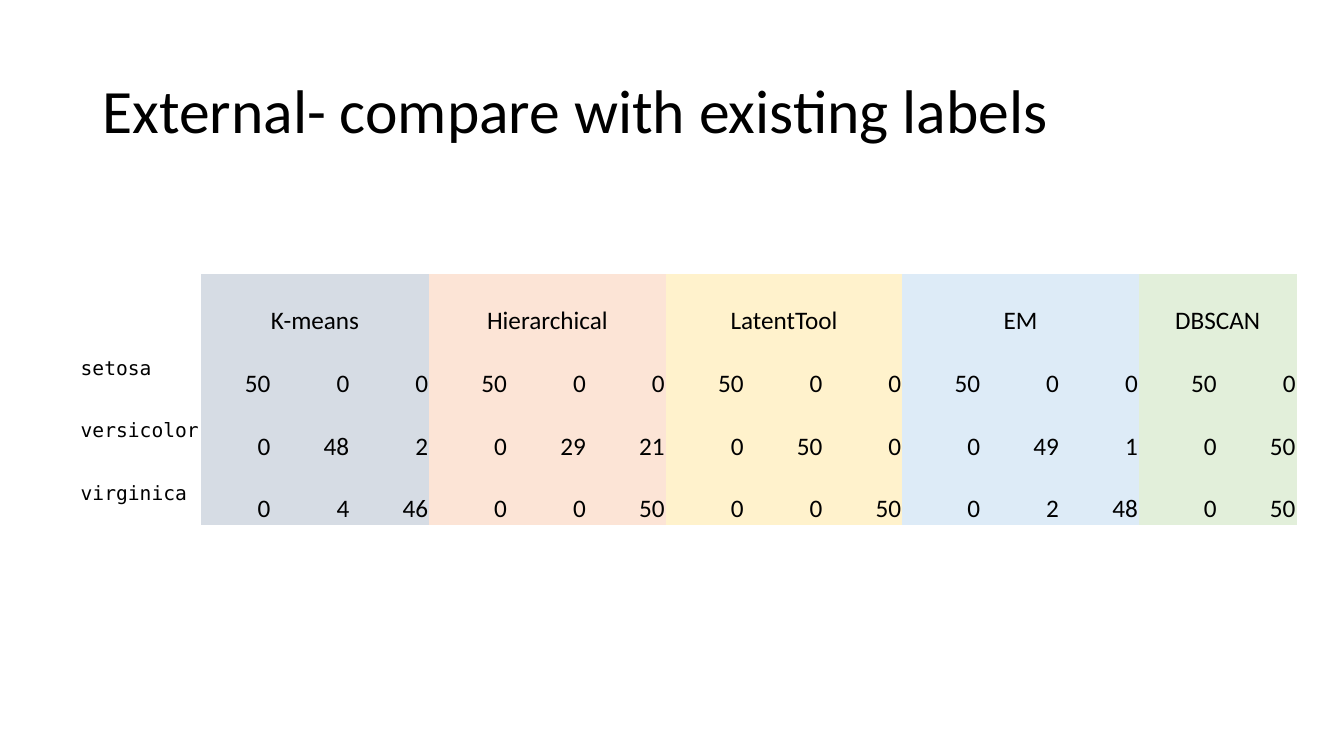
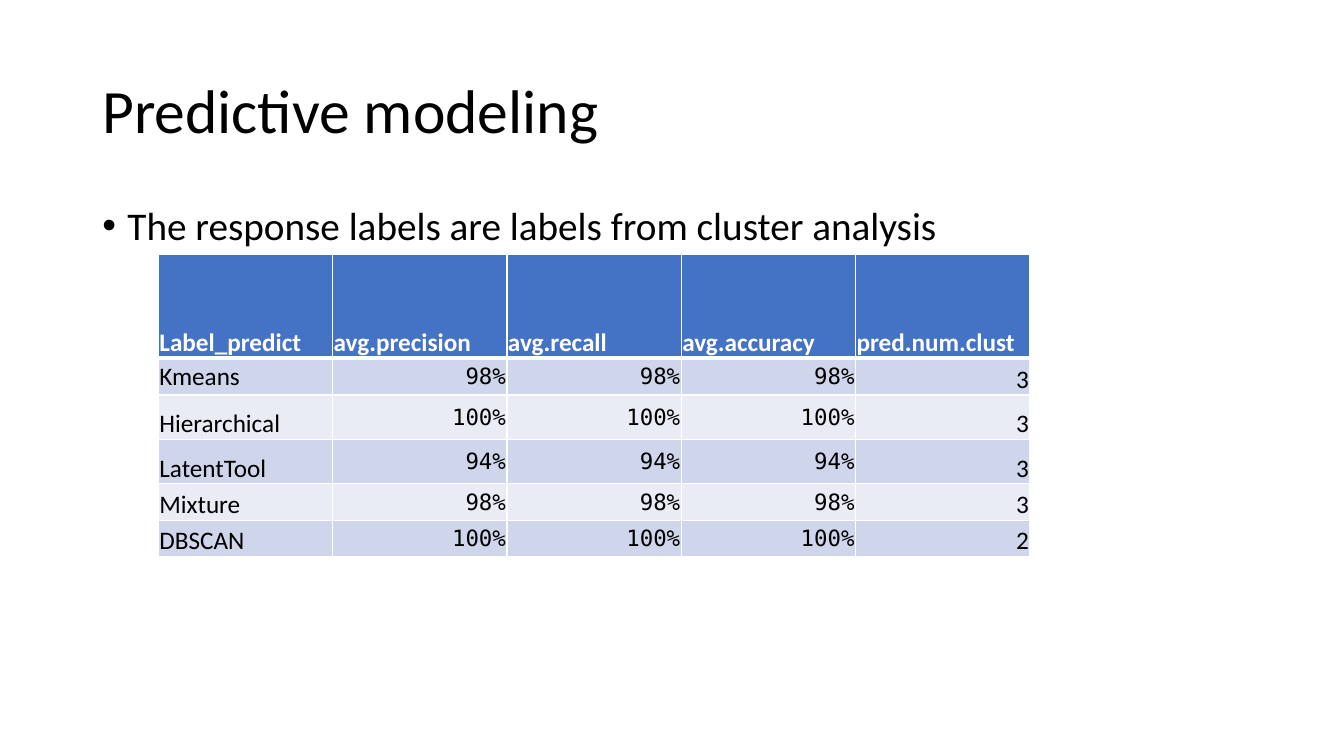
from lxml.etree import SubElement
from pptx import Presentation
from pptx.dml.color import RGBColor
from pptx.enum.text import MSO_ANCHOR, PP_ALIGN
from pptx.oxml.ns import qn
from pptx.util import Pt

SANS, MONO = "Calibri", "DejaVu Sans Mono"
BLACK, WHITE, BLUE = "000000", "FFFFFF", "4472C4"
BANDS = ["CFD5EA", "E9EBF5"]

SPECIES = ["setosa", "versicolor", "virginica"]
METHODS = [
    ("K-means", "D6DCE4", [(50, 0, 0), (0, 48, 2), (0, 4, 46)]),
    ("Hierarchical", "FCE4D6", [(50, 0, 0), (0, 29, 21), (0, 0, 50)]),
    ("LatentTool", "FFF2CC", [(50, 0, 0), (0, 50, 0), (0, 0, 50)]),
    ("EM", "DDEBF7", [(50, 0, 0), (0, 49, 1), (0, 2, 48)]),
    ("DBSCAN", "E2EFDA", [(50, 0), (0, 50), (0, 50)]),
]
LABEL_W, FIRST_W, COUNT_W, COUNT_H = 86.6, 50.4, 56.35, 44.8

BULLET = "The response labels are labels from cluster analysis"
MEASURES = ["Label_predict", "avg.precision", "avg.recall", "avg.accuracy", "pred.num.clust"]
SCORES = [
    ("Kmeans", "98%", "98%", "98%", "3"),
    ("Hierarchical", "100%", "100%", "100%", "3"),
    ("LatentTool", "94%", "94%", "94%", "3"),
    ("Mixture", "98%", "98%", "98%", "3"),
    ("DBSCAN", "100%", "100%", "100%", "2"),
]
SCORE_W, SCORE_H = 124.5, [74.2, 26.2, 31.8, 31.8, 25.9, 25.9]


def rgb(color):
    return RGBColor.from_string(color)


def write(tf, text, size=18, font=SANS, color=BLACK, bold=False, align=PP_ALIGN.LEFT, spacing=None):
    p = tf.paragraphs[0]
    p.alignment = align
    if spacing:
        p.line_spacing = spacing
    r = p.add_run()
    r.text = text
    r.font.size, r.font.name, r.font.bold = Pt(size), font, bold
    r.font.color.rgb = rgb(color)
    return p


def add_text(s, text, top, height, anchor, **fmt):
    tf = s.shapes.add_textbox(Pt(66), Pt(top), Pt(828), Pt(height)).text_frame
    tf.word_wrap = True
    tf.vertical_anchor = anchor
    return write(tf, text, spacing=0.9, **fmt)


def add_slide(prs, title):
    s = prs.slides.add_slide(prs.slide_layouts[6])
    add_text(s, title, 28.75, 104.4, MSO_ANCHOR.MIDDLE, size=44)
    return s


def set_borders(cell, widths):
    tcPr = cell._tc.get_or_add_tcPr()
    for side, width in zip("LRTB", widths):
        ln = SubElement(tcPr, qn(f"a:ln{side}"), w=str(Pt(width)))
        if width:
            fill = SubElement(ln, qn("a:solidFill"))
            SubElement(fill, qn("a:srgbClr"), val=WHITE)
        else:
            SubElement(ln, qn("a:noFill"))


def add_table(s, left, top, widths, heights):
    table = s.shapes.add_table(len(heights), len(widths), Pt(left), Pt(top),
                               Pt(sum(widths)), Pt(sum(heights))).table
    table.first_row = table.horz_banding = False
    for col, width in zip(table.columns, widths):
        col.width = Pt(width)
    for row, height in zip(table.rows, heights):
        row.height = Pt(height)
    return table


def fill_cell(cell, text="", fill=None, borders=(0, 0, 0, 0), anchor=MSO_ANCHOR.BOTTOM, **fmt):
    set_borders(cell, borders)
    if fill:
        cell.fill.solid()
        cell.fill.fore_color.rgb = rgb(fill)
    else:
        cell.fill.background()
    cell.margin_left = cell.margin_right = cell.margin_top = Pt(0.75)
    cell.margin_bottom = 0
    cell.vertical_anchor = anchor
    if text:
        write(cell.text_frame, text, **fmt)


def build_labels(prs):
    s = add_slide(prs, "External- compare with existing labels")
    columns = sum(len(counts[0]) for _, _, counts in METHODS)
    widths = [LABEL_W, FIRST_W] + [COUNT_W] * (columns - 1)
    table = add_table(s, 56.9, 195.6, widths, [COUNT_H] * (len(SPECIES) + 1))
    fill_cell(table.cell(0, 0))
    for i, name in enumerate(SPECIES, 1):
        fill_cell(table.cell(i, 0), name, anchor=MSO_ANCHOR.MIDDLE, size=14, font=MONO)
    start = 1
    for method, color, counts in METHODS:
        span = len(counts[0])
        for j in range(span):
            fill_cell(table.cell(0, start + j), "" if j else method, color, align=PP_ALIGN.CENTER)
            for i, row in enumerate(counts, 1):
                fill_cell(table.cell(i, start + j), str(row[j]), color, align=PP_ALIGN.RIGHT)
        table.cell(0, start).merge(table.cell(0, start + span - 1))
        start += span


def build_modeling(prs):
    s = add_slide(prs, "Predictive modeling")
    p = add_text(s, BULLET, 143.75, 342.6, MSO_ANCHOR.TOP, size=28)
    p.space_before = Pt(10)
    pPr = p._p.get_or_add_pPr()
    pPr.set("marL", str(Pt(18)))
    pPr.set("indent", str(Pt(-18)))
    SubElement(pPr, qn("a:buFont"), typeface="Arial")
    SubElement(pPr, qn("a:buChar"), char="•")

    table = add_table(s, 113.1, 181.7, [SCORE_W] * len(MEASURES), SCORE_H)
    for j, measure in enumerate(MEASURES):
        fill_cell(table.cell(0, j), measure, BLUE, (1, 1, 1, 3), color=WHITE, bold=True)
    last = len(MEASURES) - 1
    for i, row in enumerate(SCORES, 1):
        for j, text in enumerate(row):
            percent = 0 < j < last
            middle = percent or (i == 1 and j == 0)
            fill_cell(table.cell(i, j), text, BANDS[(i - 1) % 2],
                      (1, 1, 3 if i == 1 else 1, 1),
                      anchor=MSO_ANCHOR.MIDDLE if middle else MSO_ANCHOR.BOTTOM,
                      size=16 if percent else 18, font=MONO if percent else SANS,
                      align=PP_ALIGN.RIGHT if j else PP_ALIGN.LEFT)


def main():
    prs = Presentation()
    prs.slide_width, prs.slide_height = Pt(960), Pt(540)
    build_labels(prs)
    build_modeling(prs)
    prs.save("out.pptx")


if __name__ == "__main__":
    main()
